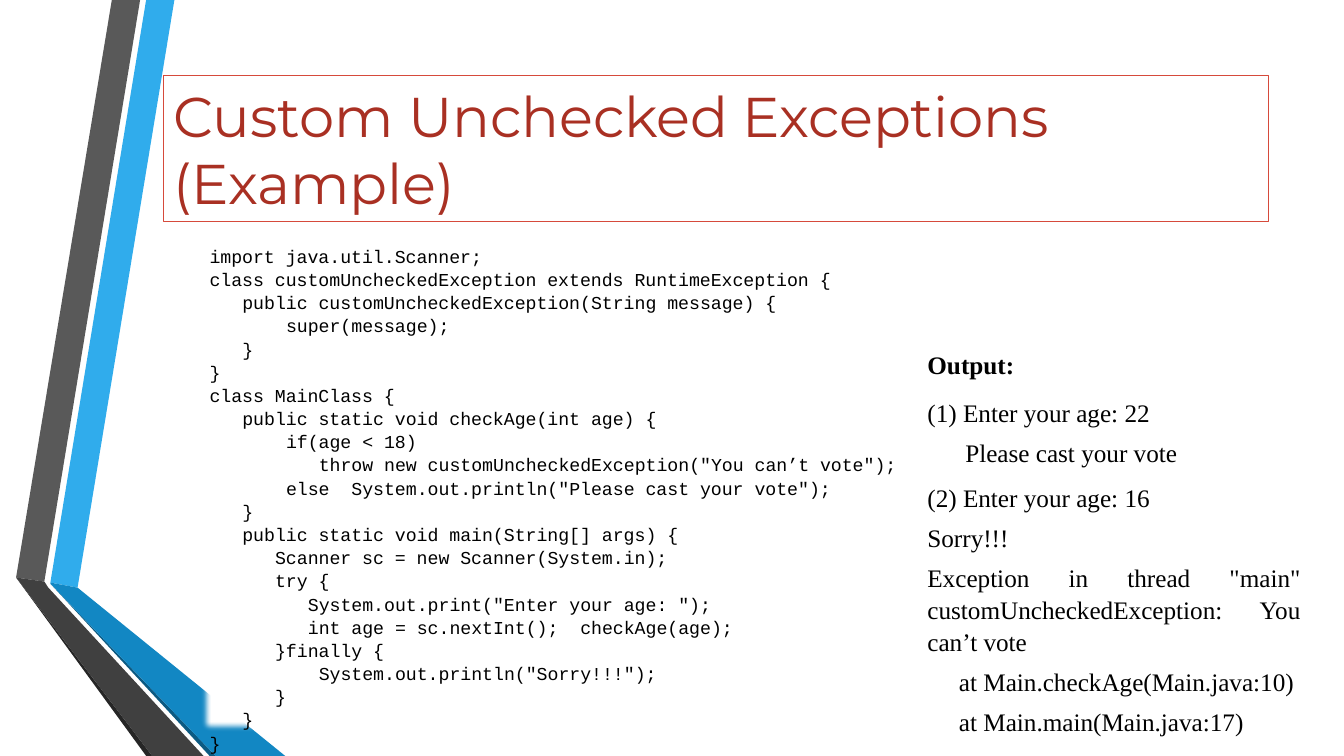
"""Build the slide on custom unchecked exceptions, with its code and output."""
from dataclasses import dataclass

from lxml.etree import SubElement
from pptx import Presentation
from pptx.dml.color import RGBColor
from pptx.enum.shapes import MSO_SHAPE as Preset
from pptx.enum.text import MSO_ANCHOR as Anchor
from pptx.enum.text import MSO_AUTO_SIZE as AutoSize
from pptx.enum.text import PP_ALIGN as Align
from pptx.oxml.ns import qn
from pptx.util import Pt

PX = 9144


@dataclass(frozen=True)
class TextStyle:
    font: str
    size: int
    color: str
    align: Align = Align.LEFT
    leading: float = 1.0
    after: int = 0
    column: float = 0


@dataclass(frozen=True)
class Theme:
    paper: str = "FFFFFF"
    frame: str = "D64A3B"
    frame_width: float = 0.75
    soft_edge: int = 5
    sky: str = "30ACEC"
    blue: str = "1287C3"
    navy: str = "0C5A82"
    gray: str = "595959"
    charcoal: str = "404040"
    black: str = "262626"
    title: TextStyle = TextStyle("Montserrat", 40, "A93023")
    code: TextStyle = TextStyle("Courier New", 13, "000000", leading=1.06, column=7.8)
    output: TextStyle = TextStyle(
        "Times New Roman", 18, "000000", Align.JUSTIFY, 1.05, 6, 4.5)


class SlideBuilder:
    def __init__(self, page, theme):
        self.page = page
        self.theme = theme

    def paint(self, shape, color):
        shape.shadow.inherit = False
        shape.fill.solid()
        shape.fill.fore_color.rgb = RGBColor.from_string(color)
        shape.line.fill.background()

    def band(self, color, points):
        outline = self.page.shapes.build_freeform(*points[0], scale=PX)
        outline.add_line_segments(points[1:], close=True)
        self.paint(outline.convert_to_shape(), color)

    def set_text(self, shape, lines, style, bold=False, anchor=Anchor.TOP,
                 auto_size=AutoSize.SHAPE_TO_FIT_TEXT):
        frame = shape.text_frame
        frame_format = {"word_wrap": True, "auto_size": auto_size,
                        "vertical_anchor": anchor}
        for name, value in frame_format.items():
            setattr(frame, name, value)
        para_format = {"alignment": style.align, "line_spacing": style.leading,
                       "space_after": Pt(style.after)}
        font_format = {"name": style.font, "size": Pt(style.size), "bold": bold}
        for index, (indent, text) in enumerate(lines):
            para = frame.add_paragraph() if index else frame.paragraphs[0]
            for name, value in para_format.items():
                setattr(para, name, value)
            if indent:
                para._p.get_or_add_pPr().set("marL", str(Pt(indent * style.column)))
            span = para.add_run()
            span.text = text
            for name, value in font_format.items():
                setattr(span.font, name, value)
            span.font.color.rgb = RGBColor.from_string(style.color)

    def text_box(self, place, lines, style, **options):
        box = self.page.shapes.add_textbox(*(length * PX for length in place))
        self.set_text(box, lines, style, **options)
        return box

    def title(self, place, text):
        box = self.text_box(place, [(0, text)], self.theme.title,
                            anchor=Anchor.MIDDLE, auto_size=AutoSize.NONE)
        box.line.color.rgb = RGBColor.from_string(self.theme.frame)
        box.line.width = Pt(self.theme.frame_width)

    def code_panel(self, place, lines):
        panel = self.page.shapes.add_shape(
            Preset.RECTANGLE, *(length * PX for length in place))
        self.paint(panel, self.theme.paper)
        effects = panel._element.spPr.find(qn("a:effectLst"))
        SubElement(effects, qn("a:softEdge"), rad=str(Pt(self.theme.soft_edge)))
        self.set_text(panel, lines, self.theme.code)


CODE = [
    (0, "import java.util.Scanner;"),
    (0, "class customUncheckedException extends RuntimeException {"),
    (3, "public customUncheckedException(String message) {"),
    (7, "super(message);"),
    (3, "}"),
    (0, "}"),
    (0, "class MainClass {"),
    (3, "public static void checkAge(int age) {"),
    (7, "if(age < 18)"),
    (10, 'throw new customUncheckedException("You can’t vote");'),
    (7, 'else  System.out.println("Please cast your vote");'),
    (3, "}"),
    (3, "public static void main(String[] args) {"),
    (6, "Scanner sc = new Scanner(System.in);"),
    (6, "try {"),
    (9, 'System.out.print("Enter your age: ");'),
    (9, "int age = sc.nextInt();  checkAge(age);"),
    (6, "}finally {"),
    (10, 'System.out.println("Sorry!!!");'),
    (6, "}"),
    (3, "}"),
    (0, "}"),
]
FIRST_RUN = [(0, "(1) Enter your age: 22"), (6, "Please cast your vote")]
SECOND_RUN = [
    (0, "(2) Enter your age: 16"),
    (0, "Sorry!!!"),
    (0, 'Exception in thread "main" customUncheckedException: You can’t vote'),
    (5, "at Main.checkAge(Main.java:10)"),
    (5, "at Main.main(Main.java:17)"),
]


def main():
    deck = Presentation()
    deck.slide_width, deck.slide_height = 1333 * PX, 750 * PX
    theme = Theme()
    builder = SlideBuilder(deck.slides.add_slide(deck.slide_layouts[6]), theme)

    bands = [
        (theme.sky, [(50, 578), (77, 583), (173, 0), (145, 0)]),
        (theme.gray, [(139, 0), (111, 0), (16, 573), (44, 577)]),
        (theme.black, [(16, 573), (145, 750), (151, 750)]),
        (theme.navy, [(50, 579), (208, 750), (214, 750)]),
        (theme.blue, [(50, 579), (214, 750), (283, 750), (77, 583), (50, 578)]),
        (theme.charcoal, [(202, 750), (48, 583), (44, 577), (16, 573), (151, 750)]),
    ]
    for color, points in bands:
        builder.band(color, points)

    builder.title((162, 75, 1096, 145), "Custom Unchecked Exceptions (Example)")
    builder.code_panel((198, 237, 701, 491), CODE)
    builder.text_box((910, 340, 331, 40), [(0, "Output:")], theme.output, bold=True)
    builder.text_box((910, 388, 321, 79), FIRST_RUN, theme.output)
    builder.text_box((910, 472, 390, 256), SECOND_RUN, theme.output)
    deck.save("out.pptx")


if __name__ == "__main__":
    main()
